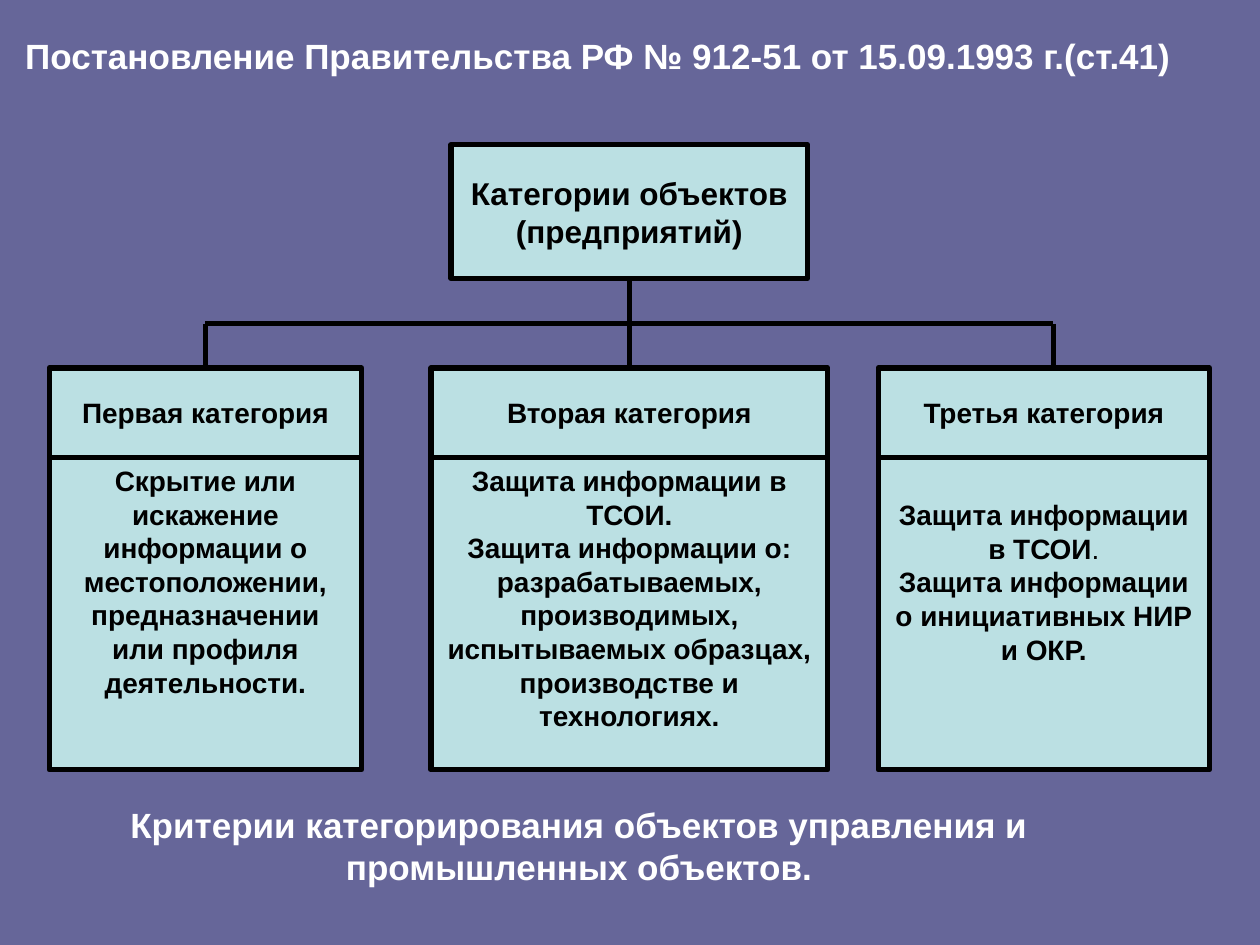
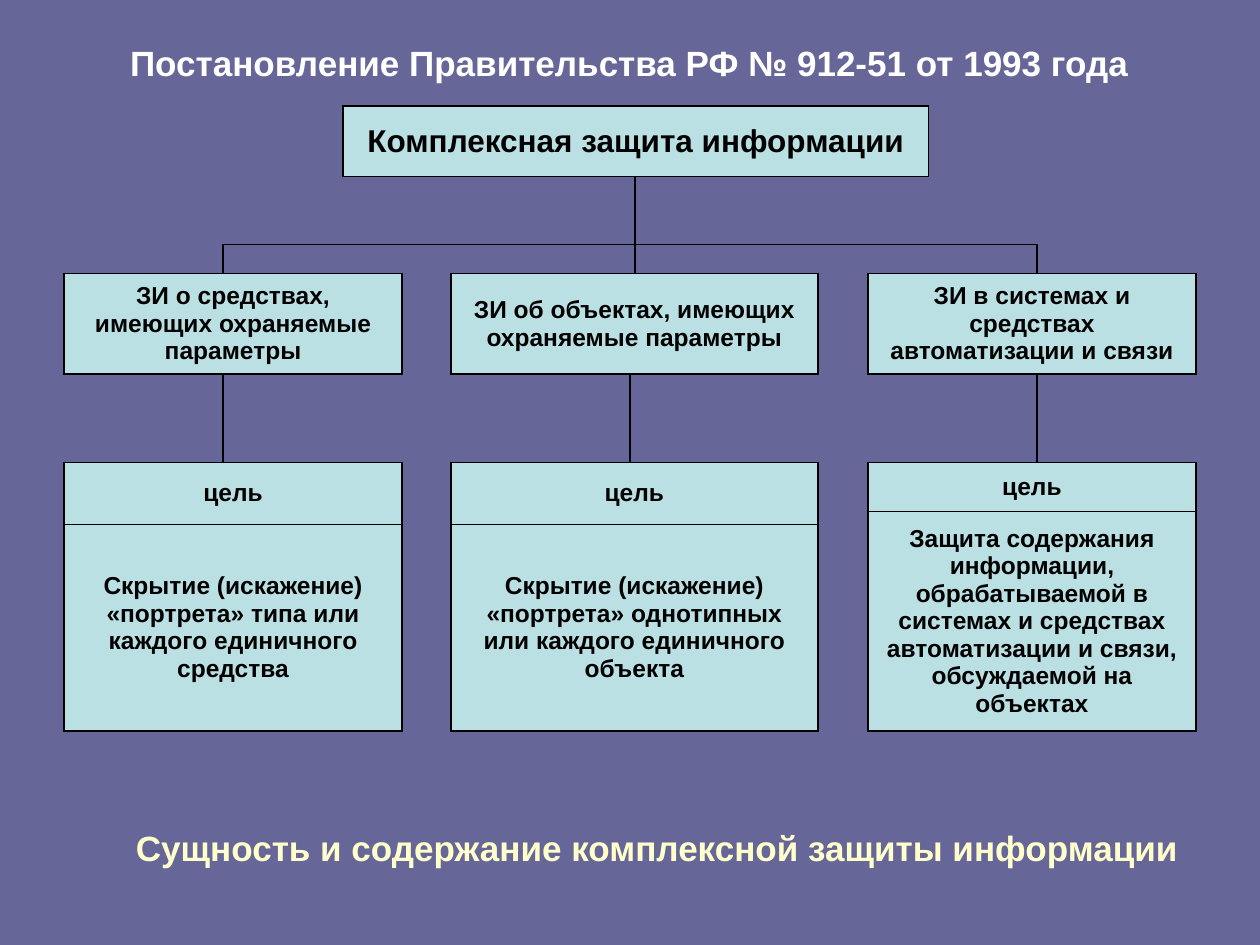
from dataclasses import dataclass

from lxml.etree import SubElement
from pptx import Presentation
from pptx.dml.color import RGBColor as RGB
from pptx.enum.shapes import MSO_CONNECTOR as CONN, MSO_SHAPE as SHAPE
from pptx.enum.text import MSO_ANCHOR as ANCHOR, MSO_AUTO_SIZE as AUTOSIZE, PP_ALIGN as ALIGN
from pptx.oxml.ns import qn
from pptx.util import Inches, Pt


@dataclass(frozen=True)
class Theme:
    font: str = "Arial"
    back: RGB = RGB(0x66, 0x66, 0x99)
    box: RGB = RGB(0xBB, 0xE0, 0xE3)
    ink: RGB = RGB(0, 0, 0)
    light: RGB = RGB(0xFF, 0xFF, 0xFF)
    cream: RGB = RGB(0xFF, 0xFF, 0xCC)
    title: float = 20
    root: float = 18
    branch: float = 16
    cell: float = 14
    thick: float = 3
    thin: float = 0.75
    border: float = 1.08
    divider: float = 0.45


T = Theme()


def write(tf, paragraphs, size, color=T.ink, align=ALIGN.CENTER):
    """Fill a text frame; a paragraph is a string or a list of (text, bold) runs."""
    for i, runs in enumerate(paragraphs):
        p = tf.paragraphs[0] if i == 0 else tf.add_paragraph()
        p.alignment = align
        for text, bold in [(runs, True)] if isinstance(runs, str) else runs:
            r = p.add_run()
            r.text = text
            r.font.name, r.font.size, r.font.bold = T.font, Pt(size), bold
            r.font.color.rgb = color


def set_margins(tf, x, y):
    tf.margin_left = tf.margin_right = Inches(x)
    tf.margin_top = tf.margin_bottom = Inches(y)


def new_slide(prs, title, box, align, margins):
    slide = prs.slides.add_slide(prs.slide_layouts.get_by_name("Title Only"))
    sp = slide.shapes.title
    sp.left, sp.top, sp.width, sp.height = map(Inches, box)
    tf = sp.text_frame
    tf.word_wrap, tf.auto_size, tf.vertical_anchor = True, AUTOSIZE.NONE, ANCHOR.TOP
    set_margins(tf, *margins)
    write(tf, [title], T.title, T.light, align)
    return slide


def add_caption(slide, paragraphs, box, color, align, margins):
    tf = slide.shapes.add_textbox(*map(Inches, box)).text_frame
    tf.word_wrap = False
    set_margins(tf, *margins)
    write(tf, paragraphs, T.title, color, align)


def add_box(slide, paragraphs, box, size, anchor=ANCHOR.MIDDLE, top_margin=0.05):
    sp = slide.shapes.add_shape(SHAPE.RECTANGLE, *map(Inches, box))
    sp.shadow.inherit = False
    sp.fill.solid()
    sp.fill.fore_color.rgb = T.box
    sp.line.color.rgb, sp.line.width = T.ink, Pt(T.thick)
    tf = sp.text_frame
    tf.word_wrap, tf.vertical_anchor = True, anchor
    tf.margin_top = Inches(top_margin)
    write(tf, paragraphs, size)
    return sp


def add_line(slide, start, end, width, begin=None, finish=None):
    """Straight line; begin joins a box at its bottom, finish a box at its top."""
    line = slide.shapes.add_connector(CONN.STRAIGHT, *map(Inches, (*start, *end)))
    line.line.color.rgb, line.line.width = T.ink, Pt(width)
    SubElement(line._element.spPr, qn("a:effectLst"))
    if begin is not None:
        line.begin_connect(begin, 2)
    if finish is not None:
        line.end_connect(finish, 0)


def set_borders(cell, **widths):
    tc_pr = cell._tc.get_or_add_tcPr()
    for side in "LRTB":
        ln = SubElement(tc_pr, qn(f"a:ln{side}"), w=str(Pt(widths.get(side, T.border))))
        fill = SubElement(ln, qn("a:solidFill"))
        SubElement(fill, qn("a:srgbClr"), val=str(T.ink))


def add_cells(slide, texts, left, top, width, heights, size=T.cell):
    """One-column table with thin dividers between its rows."""
    frame = slide.shapes.add_table(len(texts), 1, *map(Inches, (left, top, width, sum(heights))))
    table = frame.table
    table.first_row = table.horz_banding = False
    last = len(texts) - 1
    for i, (text, height) in enumerate(zip(texts, heights)):
        table.rows[i].height = Inches(height)
        cell = table.cell(i, 0)
        set_borders(cell, T=T.divider if i else T.border, B=T.divider if i < last else T.border)
        cell.fill.solid()
        cell.fill.fore_color.rgb = T.box
        cell.vertical_anchor = ANCHOR.MIDDLE
        write(cell.text_frame, [text], size)


def add_category_tree(slide, left, top):
    root_h, bus, heads, head_h, body_h = 1.06, top + 1.42, top + 1.77, 0.71, 2.48
    # offset, width, line offset, heading, body, top margin of the body
    categories = [
        (0, 2.48, 1.24, "Первая категория",
         ["Скрытие или искажение информации о местоположении, предназначении "
          "или профиля деятельности."], 0.05),
        (3.03, 3.15, 4.6, "Вторая категория",
         ["Защита информации в ТСОИ.", "Защита информации о:",
          "разрабатываемых, производимых, испытываемых образцах, "
          "производстве и технологиях."], 0.05),
        (6.58, 2.63, 7.97, "Третья категория",
         [[("Защита информации в ТСОИ", True), (".", False)],
          "Защита информации", "о инициативных НИР и ОКР."], 0.32),
    ]
    root = add_box(slide, ["Категории объектов", "(предприятий)"],
                   (left + 3.19, top, 2.83, root_h), T.root)
    add_line(slide, (left + categories[0][2], bus), (left + categories[-1][2], bus), T.thick)
    for dx, width, line_dx, heading, body, margin in categories:
        head = add_box(slide, [heading], (left + dx, heads, width, head_h), T.branch)
        add_box(slide, body, (left + dx, heads + head_h, width, body_h),
                T.branch, ANCHOR.TOP, margin)
        x = left + line_dx
        trunk = abs(dx + width / 2 - 4.6) < 0.01
        centred = abs(dx + width / 2 - line_dx) < 0.01
        add_line(slide, (x, top + root_h if trunk else bus), (x, heads), T.thick,
                 root if trunk else None, head if centred else None)


def add_protection_tree(slide, left, top):
    root_h, bus, branches, branch_h, goals = 0.56, top + 1.1, top + 1.33, 0.8, top + 2.83
    # offset, width, line offset, branch, goal, row heights of the goal
    directions = [
        (0, 2.68, 1.26, "ЗИ о средствах, имеющих охраняемые параметры",
         "Скрытие (искажение) «портрета» типа или каждого единичного средства", (0.49, 1.64)),
        (3.07, 2.91, 4.49, "ЗИ об объектах, имеющих охраняемые параметры",
         "Скрытие (искажение) «портрета» однотипных или каждого единичного объекта",
         (0.49, 1.64)),
        (6.38, 2.6, 7.72, "ЗИ в системах и средствах автоматизации и связи",
         "Защита содержания информации, обрабатываемой в системах и средствах "
         "автоматизации и связи, обсуждаемой на объектах", (0.39, 1.74)),
    ]
    add_cells(slide, ["Комплексная защита информации"], left + 2.21, top, 4.65, [root_h], T.root)
    for dx, width, line_dx, branch, goal, heights in directions:
        add_cells(slide, [branch], left + dx, branches, width, [branch_h])
        add_cells(slide, ["цель", goal], left + dx, goals, width, heights)
        x = left + line_dx
        add_line(slide, (x, branches + branch_h), (x, goals), T.thin)
    add_line(slide, (left + 4.53, top + root_h), (left + 4.53, branches), T.thin)

    first, last = left + directions[0][2], left + directions[-1][2]
    corners = [(Inches(x), Inches(y)) for x, y in
               ((first, branches), (first, bus), (last, bus), (last, branches))]
    builder = slide.shapes.build_freeform(*corners[0])
    builder.add_line_segments(corners[1:], close=False)
    bracket = builder.convert_to_shape()
    bracket.shadow.inherit = False
    bracket.fill.background()
    bracket.line.color.rgb, bracket.line.width = T.ink, Pt(T.thin)


def build_categories(prs):
    slide = new_slide(prs, "Постановление Правительства РФ № 912-51 от 15.09.1993 г.(ст.41)",
                      (0.2, 0.27, 9.29, 0.33), ALIGN.LEFT, (0, 0))
    add_category_tree(slide, 0.39, 1.15)
    add_caption(slide, ["Критерии категорирования объектов управления и",
                        "промышленных объектов."],
                (1.02, 6.38, 7.15, 0.67), T.light, ALIGN.CENTER, (0, 0))


def build_protection(prs):
    slide = new_slide(prs, "Постановление Правительства РФ № 912-51 от 1993 года",
                      (0.27, 0.28, 9.45, 0.44), ALIGN.CENTER, (0.1, 0.05))
    add_protection_tree(slide, 0.51, 0.84)
    add_caption(slide, ["Сущность и содержание комплексной защиты информации"],
                (0.98, 6.51, 8.51, 0.44), T.cream, ALIGN.LEFT, (0.1, 0.05))


def main():
    prs = Presentation()
    prs.slide_width, prs.slide_height = Inches(10), Inches(7.5)
    back = prs.slide_master.background.fill
    back.solid()
    back.fore_color.rgb = T.back
    build_categories(prs)
    build_protection(prs)
    prs.save("out.pptx")


if __name__ == "__main__":
    main()
